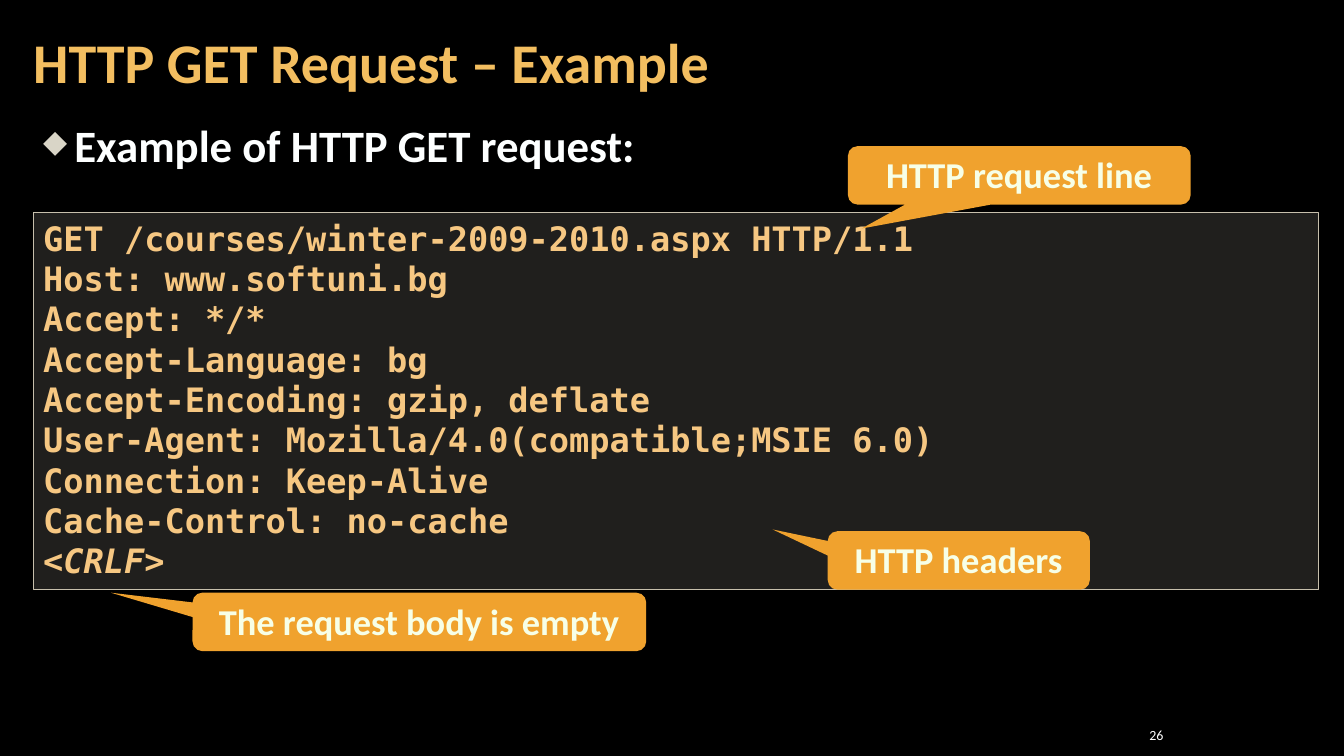
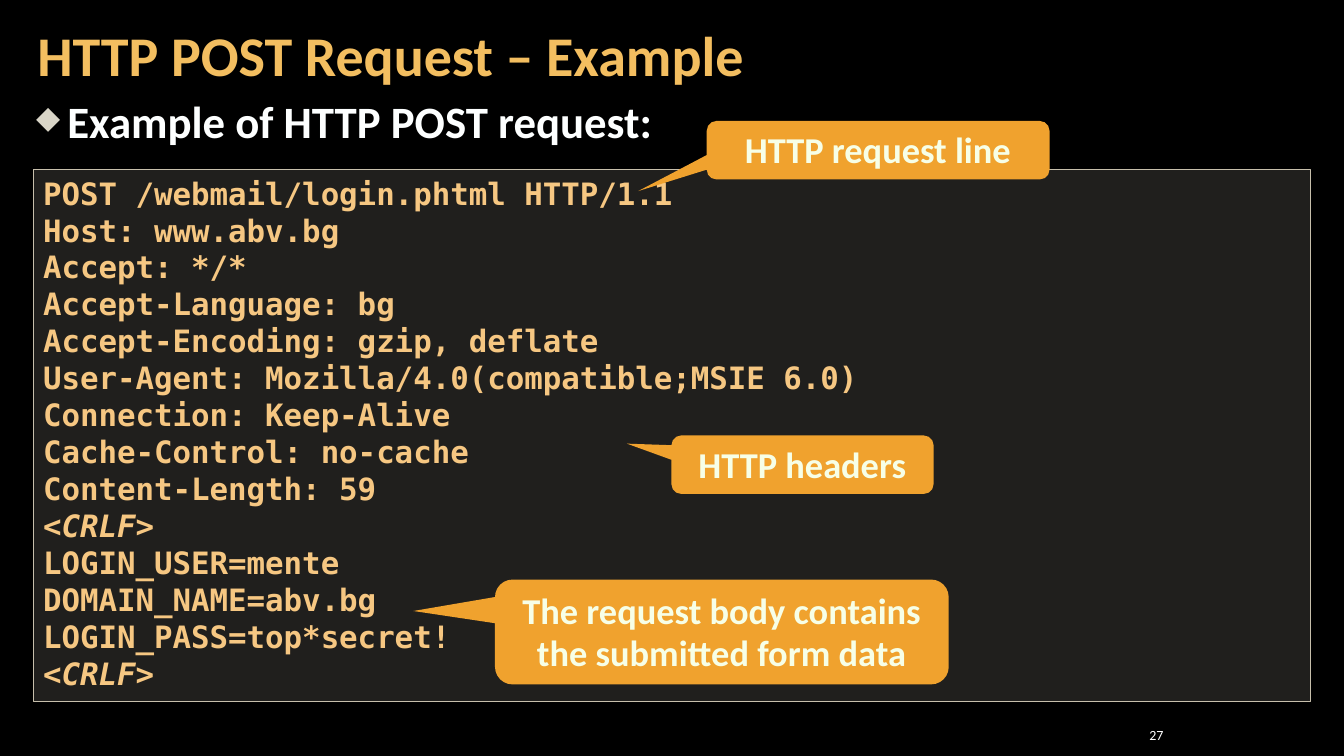
"""Builds two slides that show an HTTP GET and an HTTP POST request."""
from lxml import etree
from pptx import Presentation
from pptx import util as u
from pptx.dml.color import RGBColor
from pptx.enum import shapes, text
from pptx.oxml import ns

BLACK = RGBColor(0x00, 0x00, 0x00)
WHITE = RGBColor(0xFF, 0xFF, 0xFF)
GOLD = RGBColor(0xF3, 0xBE, 0x60)
BODY = RGBColor(0xFD, 0xFF, 0xFF)
SAND = RGBColor(0xD9, 0xD5, 0xC7)
BORDER = RGBColor(0xC7, 0xBF, 0xAC)
CODE = RGBColor(0xF6, 0xC7, 0x82)
ORANGE = RGBColor(0xF0, 0xA2, 0x2E)
CREAM = RGBColor(0xF7, 0xFF, 0xE7)
SANS = "Calibri"
MONO = "DejaVu Sans Mono"
CRLF = "<CRLF>"

COMMON_HEADERS = [
    "Accept: */*",
    "Accept-Language: bg",
    "Accept-Encoding: gzip, deflate",
    "User-Agent: Mozilla/4.0(compatible;MSIE 6.0)",
    "Connection: Keep-Alive",
    "Cache-Control: no-cache",
]
GET_REQUEST = [
    "GET /courses/winter-2009-2010.aspx HTTP/1.1",
    "Host: www.softuni.bg",
    *COMMON_HEADERS,
    CRLF,
]
POST_REQUEST = [
    "POST /webmail/login.phtml HTTP/1.1",
    "Host: www.abv.bg",
    *COMMON_HEADERS,
    "Content-Length: 59",
    CRLF,
    "LOGIN_USER=mente",
    "DOMAIN_NAME=abv.bg",
    "LOGIN_PASS=top*secret!",
    CRLF,
]


class Deck:
    """Holds the presentation, its style and the current slide."""

    def __init__(self):
        """Start an empty widescreen presentation."""
        self.prs = Presentation()
        self.prs.slide_width = u.Inches(13.33)
        self.prs.slide_height = u.Inches(7.5)
        self.s = None

    def slide(self, number):
        """Add a black slide with its page number."""
        self.s = self.prs.slides.add_slide(self.prs.slide_layouts[6])
        fill = self.s.background.fill
        fill.solid()
        fill.fore_color.rgb = BLACK
        tf = self.box((11.08, 7.17, 0.5, 0.25), 0.04, text.MSO_ANCHOR.MIDDLE)
        p = tf.paragraphs[0]
        p.alignment = text.PP_ALIGN.RIGHT
        self.run(p, str(number), 10, WHITE, bold=False)

    def box(self, at, inset=0.1, anchor=text.MSO_ANCHOR.TOP):
        """Add a wrapping text box and return its text frame."""
        tf = self.s.shapes.add_textbox(*map(u.Inches, at)).text_frame
        tf.word_wrap = True
        tf.vertical_anchor = anchor
        tf.margin_left = tf.margin_right = u.Inches(inset)
        return tf

    def shape(self, kind, at, color):
        """Add a filled shape that grows with its text."""
        sp = self.s.shapes.add_shape(kind, *map(u.Inches, at))
        sp.shadow.inherit = False
        sp.fill.solid()
        sp.fill.fore_color.rgb = color
        tf = sp.text_frame
        tf.word_wrap = True
        tf.auto_size = text.MSO_AUTO_SIZE.SHAPE_TO_FIT_TEXT
        tf.vertical_anchor = text.MSO_ANCHOR.TOP
        return sp

    def run(self, p, words, size, color, font=SANS, bold=True, italic=False):
        """Add one styled run to a paragraph."""
        r = p.add_run()
        r.text = words
        r.font.name = font
        r.font.size = u.Pt(size)
        r.font.color.rgb = color
        r.font.bold = bold
        r.font.italic = italic

    def title(self, words, at):
        """Add the slide title."""
        p = self.box(at, 0.12, text.MSO_ANCHOR.MIDDLE).paragraphs[0]
        p.line_spacing = 0.9
        self.run(p, words, 40, GOLD)

    def bullet(self, words, at, spacing=None):
        """Add a line of text with a diamond bullet."""
        p = self.box(at).paragraphs[0]
        pPr = p._p.get_or_add_pPr()
        pPr.set("marL", str(u.Inches(0.31)))
        pPr.set("indent", str(-u.Inches(0.31)))
        color = etree.SubElement(pPr, ns.qn("a:buClr"))
        etree.SubElement(color, ns.qn("a:srgbClr"), val=str(SAND))
        etree.SubElement(pPr, ns.qn("a:buSzPct"), val="70000")
        etree.SubElement(pPr, ns.qn("a:buChar"), char="◆")
        p.space_after = u.Pt(6)
        if spacing:
            p.line_spacing = u.Pt(spacing)
        self.run(p, words, 32, BODY)

    def code(self, lines, at, size):
        """Add a translucent panel with one paragraph per code line."""
        sp = self.shape(shapes.MSO_SHAPE.RECTANGLE, at, SAND)
        color = sp.fill._xPr.find(".//" + ns.qn("a:srgbClr"))
        etree.SubElement(color, ns.qn("a:alpha"), val="15000")
        sp.line.color.rgb = BORDER
        sp.line.width = u.Pt(1)
        tf = sp.text_frame
        for i, line in enumerate(lines):
            p = tf.add_paragraph() if i else tf.paragraphs[0]
            p.alignment = text.PP_ALIGN.LEFT
            self.run(p, line, size, CODE, MONO, italic=line == CRLF)

    def callout(self, words, at, tip):
        """Add a callout whose tip is an offset relative to its size."""
        kind = shapes.MSO_SHAPE.ROUNDED_RECTANGULAR_CALLOUT
        sp = self.shape(kind, at, ORANGE)
        sp.line.fill.background()
        for i, value in enumerate((*tip, 0.167)):
            sp.adjustments[i] = value
        p = sp.text_frame.paragraphs[0]
        p.alignment = text.PP_ALIGN.CENTER
        p.line_spacing = u.Pt(30)
        self.run(p, words, 26, CREAM)


def main():
    """Build and save both slides."""
    d = Deck()

    d.slide(26)
    d.code(GET_REQUEST, (0.33, 2.11, 12.75, 3.74), 24)
    d.title("HTTP GET Request – Example", (0.21, 0.04, 10.47, 1.21))
    d.bullet("Example of HTTP GET request:", (0.33, 1.12, 10.96, 0.67))
    d.callout("HTTP request line", (8.41, 1.45, 3.4, 0.58), (-0.46, 0.91))
    d.callout("HTTP headers", (8.21, 5.27, 2.6, 0.58), (-0.71, -0.53))
    d.callout("The request body is empty", (1.91, 5.88, 4.5, 0.58),
              (-0.68, -0.5))

    d.slide(27)
    d.code(POST_REQUEST, (0.33, 1.68, 12.67, 5.28), 22)
    d.title("HTTP POST Request – Example", (0.25, 0.08, 11.25, 1))
    d.bullet("Example of HTTP POST request:", (0.26, 0.89, 11.04, 0.67), 38)
    d.callout("HTTP request line", (7.01, 1.2, 3.4, 0.58), (-0.7, 0.7))
    d.callout("HTTP headers", (6.66, 4.32, 2.6, 0.58), (-0.67, -0.36))
    d.callout("The request body contains the submitted form data",
              (4.91, 5.75, 4.5, 1.04), (-0.68, -0.2))

    d.prs.save("out.pptx")


if __name__ == "__main__":
    main()
